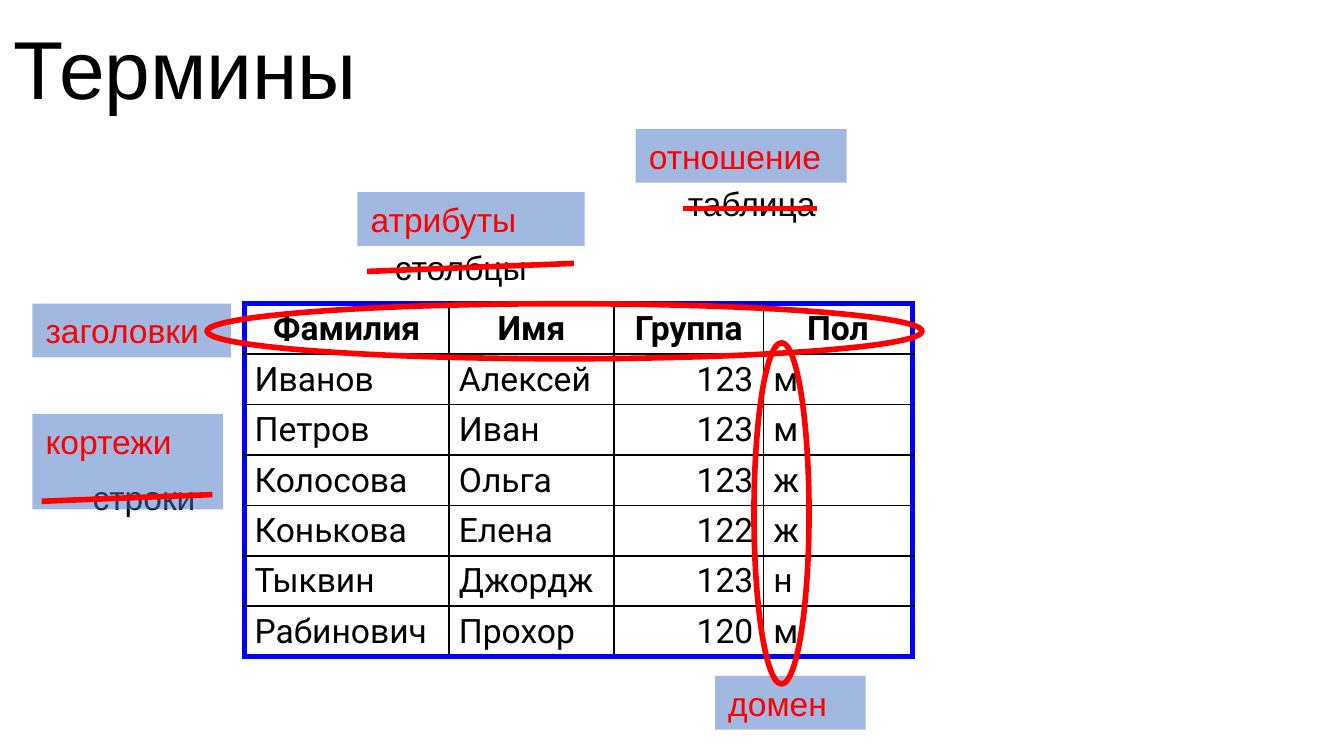
"""Build a slide that names the parts of a relational table."""
from dataclasses import dataclass

from lxml.etree import SubElement as Sub
from pptx import Presentation
from pptx.dml.color import RGBColor as Rgb
from pptx.enum.shapes import MSO_CONNECTOR as Link, MSO_SHAPE as Kind
from pptx.enum.text import MSO_ANCHOR as Anchor, PP_ALIGN as Align
from pptx.oxml.ns import qn
from pptx.util import Inches, Pt


@dataclass(frozen=True)
class Theme:
    """Colours, fonts and sizes of the slide."""
    ink: str = "000000"
    mark: str = "FF0000"
    frame: str = "0000FF"
    tint: str = "4472C4"
    sans: str = "Arial"
    grid: str = "Roboto"
    head: int = 44
    body: int = 18
    thin: int = 1
    thick: int = 3


THEME = Theme()
ROWS = [
    ("Фамилия", "Имя", "Группа", "Пол"),
    ("Иванов", "Алексей", "123", "м"),
    ("Петров", "Иван", "123", "м"),
    ("Колосова", "Ольга", "123", "ж"),
    ("Конькова", "Елена", "122", "ж"),
    ("Тыквин", "Джордж", "123", "н"),
    ("Рабинович", "Прохор", "120", "м"),
]
WIDTHS = (1.52, 1.23, 1.11, 1.11)
HIGH = 0.4
PAD = Inches(0.15) // 2


def box(*nums):
    """Turn numbers into lengths in inches."""
    return [Inches(num) for num in nums]


def write(frame, text, color=THEME.ink, size=THEME.body, font=THEME.sans, bold=False):
    """Add one run to the first paragraph and return the paragraph."""
    para = frame.paragraphs[0]
    run = para.add_run()
    run.text = text
    run.font.name, run.font.size, run.font.bold = font, Pt(size), bold
    run.font.color.rgb = Rgb.from_string(color)
    return para


def add_title(shapes, text):
    """Add the slide title."""
    frame = shapes.add_textbox(*box(0.1, 0, 2.89, 1.09)).text_frame
    frame.margin_left = frame.margin_right = 0
    frame.margin_top = frame.margin_bottom = 0
    frame.word_wrap, frame.vertical_anchor = True, Anchor.MIDDLE
    write(frame, text, size=THEME.head).line_spacing = 0.9


def add_word(shapes, text, left, top, width):
    """Add a plain everyday word."""
    frame = shapes.add_textbox(*box(left, top, width, HIGH)).text_frame
    frame.word_wrap = True
    write(frame, text)


def add_term(shapes, text, left, top, width, high=HIGH):
    """Add a formal term on a half-clear panel."""
    rect = shapes.add_shape(Kind.RECTANGLE, *box(left, top, width, high))
    rect.shadow.inherit = False
    rect.fill.solid()
    rect.fill.fore_color.rgb = Rgb.from_string(THEME.tint)
    tone = next(rect._element.spPr.iter(qn("a:srgbClr")))
    Sub(tone, qn("a:alpha"), val="50000")
    rect.line.fill.background()
    frame = rect.text_frame
    frame.word_wrap, frame.vertical_anchor = True, Anchor.TOP
    write(frame, text, THEME.mark).alignment = Align.LEFT


def paint(line):
    """Give a line the red marker look."""
    line.color.rgb = Rgb.from_string(THEME.mark)
    line.width = Pt(THEME.thick)


def add_strike(shapes, *ends):
    """Cross out a word with a straight line."""
    line = shapes.add_connector(Link.STRAIGHT, *box(*ends))
    Sub(line._element.spPr, qn("a:effectLst"))
    paint(line.line)


def add_ring(shapes, *place):
    """Circle a part of the table."""
    ring = shapes.add_shape(Kind.OVAL, *box(*place))
    ring.shadow.inherit = False
    ring.fill.background()
    paint(ring.line)


def add_edge(cell, side, outer):
    """Draw one border of a cell."""
    width = THEME.thick if outer else THEME.thin
    props = cell._tc.get_or_add_tcPr()
    edge = Sub(props, qn("a:ln" + side), w=str(Pt(width)))
    fill = Sub(edge, qn("a:solidFill"))
    Sub(fill, qn("a:srgbClr"), val=THEME.frame if outer else THEME.ink)


def add_grid(shapes):
    """Add the table with its heavy outer frame."""
    last, end = len(ROWS) - 1, len(WIDTHS) - 1
    place = box(1.82, 2.26, sum(WIDTHS), 2.62)
    table = shapes.add_table(len(ROWS), len(WIDTHS), *place).table
    table.first_row = table.horz_banding = False
    for col, width in zip(table.columns, WIDTHS):
        col.width = Inches(width)
    for r, row in enumerate(ROWS):
        for c, text in enumerate(row):
            cell = table.cell(r, c)
            cell.margin_left = cell.margin_right = PAD
            cell.margin_top = cell.margin_bottom = PAD // 2
            cell.vertical_anchor = Anchor.BOTTOM
            outer = {"L": c == 0, "R": c == end, "T": r == 0, "B": r == last}
            for side, flag in outer.items():
                add_edge(cell, side, flag)
            cell.fill.background()
            para = write(cell.text_frame, text, font=THEME.grid, bold=r == 0)
            if r == 0:
                para.alignment = Align.CENTER
            else:
                para.alignment = Align.RIGHT if c == 2 else Align.LEFT


def add_pair(shapes, term, draw, mark):
    """Group a term with the mark that belongs to it."""
    group = shapes.add_group_shape().shapes
    add_term(group, *term)
    draw(group, *mark)


def main():
    """Build and save the slide."""
    deck = Presentation()
    deck.slide_width = Inches(10)
    deck.slide_height = deck.slide_width * 9 // 16
    shapes = deck.slides.add_slide(deck.slide_layouts[6]).shapes
    add_title(shapes, "Термины")
    add_grid(shapes)
    add_word(shapes, "таблица", 5.02, 1.31, 1.18)
    add_pair(shapes, ("отношение", 4.73, 0.96, 1.57), add_strike, (6.08, 1.55, 5.08, 1.55))
    add_word(shapes, "столбцы", 2.84, 1.79, 1.38)
    add_pair(shapes, ("заголовки", 0.24, 2.26, 1.48), add_ring, (1.54, 2.26, 5.32, 0.41))
    add_pair(shapes, ("домен", 5.32, 5.03, 1.12), add_ring, (5.61, 2.55, 0.41, 2.54))
    add_word(shapes, "строки", 0.59, 3.5, 1.18)
    add_pair(shapes, ("кортежи", 0.24, 3.08, 1.42, 0.71), add_strike, (1.58, 3.68, 0.31, 3.73))
    add_pair(shapes, ("атрибуты", 2.66, 1.43, 1.69), add_strike, (4.27, 1.96, 2.73, 2.02))
    deck.save("out.pptx")


if __name__ == "__main__":
    main()
